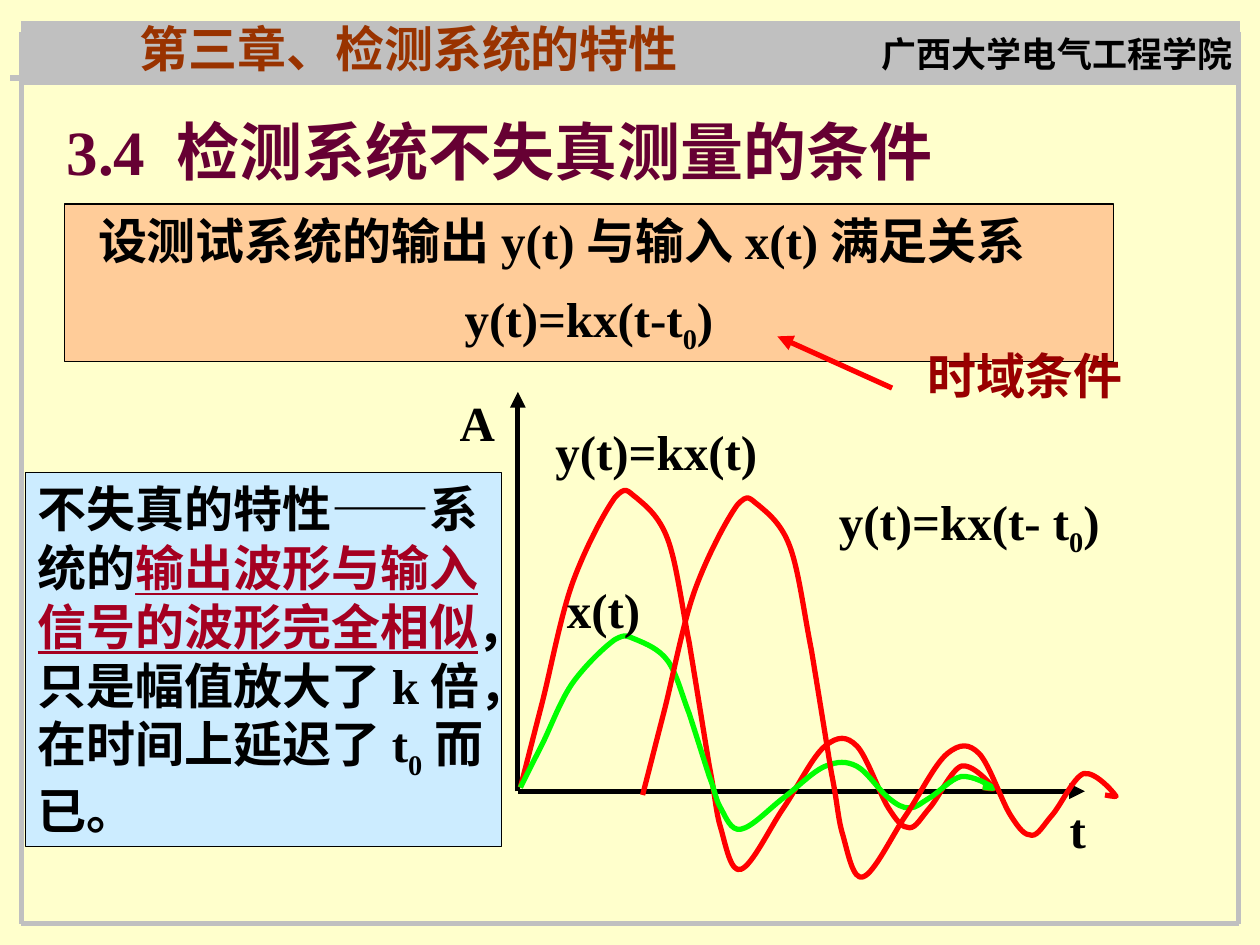
from lxml import etree
from pptx import Presentation
from pptx.dml.color import RGBColor
from pptx.enum.shapes import MSO_CONNECTOR, MSO_SHAPE
from pptx.enum.text import MSO_ANCHOR, MSO_AUTO_SIZE, PP_ALIGN
from pptx.oxml.ns import qn
from pptx.util import Inches, Pt

STRAIGHT = MSO_CONNECTOR.STRAIGHT
RECTANGLE = MSO_SHAPE.RECTANGLE
TOP = MSO_ANCHOR.TOP
FIT_SHAPE = MSO_AUTO_SIZE.SHAPE_TO_FIT_TEXT
LEFT, CENTER = PP_ALIGN.LEFT, PP_ALIGN.CENTER

CREAM = RGBColor(0xFF, 0xFF, 0xCC)
GRAY = RGBColor(0xC0, 0xC0, 0xC0)
BLACK = RGBColor(0, 0, 0)
PLUM = RGBColor(0x66, 0x00, 0x33)
BROWN = RGBColor(0x99, 0x33, 0x00)
DARK_RED = RGBColor(0x99, 0x00, 0x00)
CRIMSON = RGBColor(0xA5, 0x00, 0x21)
RED = RGBColor(0xFF, 0, 0)
GREEN = RGBColor(0, 0xFF, 0)
PEACH = RGBColor(0xFF, 0xCC, 0x99)
PALE_BLUE = RGBColor(0xCC, 0xEC, 0xFF)

FONT = "Times New Roman"
SUBSCRIPT = {"baseline": "-25000"}
THICK, THIN = 3, 0.75
FRAME_LEFT, FRAME_RIGHT, FRAME_TOP, FRAME_BOTTOM = 0.17, 9.83, 0.25, 7.33
AXIS_X, AXIS_Y = 4.11, 6.28

FRAME_LINES = [
    ((0.08, 0.62), (9.75, 0.62)),
    ((FRAME_LEFT, FRAME_TOP), (FRAME_LEFT, FRAME_BOTTOM)),
    ((FRAME_RIGHT, FRAME_TOP), (FRAME_RIGHT, FRAME_BOTTOM)),
    ((FRAME_LEFT, FRAME_BOTTOM), (FRAME_RIGHT, FRAME_BOTTOM)),
]
ARROWS = [
    ((7.08, 3.08), (6.17, 2.67), RED),
    ((AXIS_X, AXIS_Y), (AXIS_X, 3.11), BLACK),
    ((AXIS_X, AXIS_Y), (8.61, AXIS_Y), BLACK),
]

HEADINGS = [
    ((6.78, 0.21, 3.22, 0.44), "广西大学电气工程学院", 20, BLACK, CENTER, True),
    ((0.43, 0.84, 8.19, 0.7), "3.4 检测系统不失真测量的条件", 36, PLUM, LEFT, True),
    ((1.01, 0.1, 4.47, 0.57), "第三章、检测系统的特性", 28, BROWN, LEFT, False),
]
LABELS = [
    ((7.26, 2.69, 1.75, 0.57), [("时域条件", DARK_RED, {})]),
    ((4.31, 3.3, 1.8, 0.57), [("y(t)=kx(t)", BLACK, {})]),
    ((8.39, 6.3, 0.33, 0.57), [("t", BLACK, {})]),
    ((3.55, 3.07, 0.48, 0.57), [("A", BLACK, {})]),
    ((4.4, 4.55, 0.78, 0.57), [("x(t)", BLACK, {})]),
    ((6.56, 3.85, 2.27, 0.63),
     [("y(t)=kx(t- t", BLACK, {}), ("0", BLACK, SUBSCRIPT), (")", BLACK, {})]),
]
RELATION = [
    [("设测试系统的输出y(t)与输入x(t)满足关系", BLACK, {})],
    [("y(t)=kx(t-t", BLACK, {}), ("0", BLACK, SUBSCRIPT), (")", BLACK, {})],
]
PROPERTY = [
    ("不失真的特性——系统的", BLACK, {}),
    ("输出波形与输入信号的波形完全相似", CRIMSON, {"u": "sng"}),
    ("，只是幅值放大了k倍，在时间上延迟了t", BLACK, {}),
    ("0", BLACK, SUBSCRIPT),
    ("而已。", BLACK, {}),
]

WAVE_BASE = 6.25
WAVE = [
    (4.13, 6.25),
    (4.18, 6.06), (4.23, 5.86), (4.3, 5.59), (4.37, 5.32), (4.45, 4.88), (4.55, 4.61),
    (4.65, 4.34), (4.8, 4.06), (4.88, 3.95), (4.97, 3.85), (4.98, 3.9), (5.05, 3.95),
    (5.12, 4.01), (5.23, 4.09), (5.3, 4.28), (5.37, 4.47), (5.41, 4.8), (5.47, 5.1),
    (5.52, 5.4), (5.59, 5.84), (5.63, 6.08), (5.68, 6.33), (5.68, 6.44), (5.72, 6.57),
    (5.76, 6.71), (5.8, 6.93), (5.88, 6.9), (5.97, 6.87), (6.11, 6.57), (6.22, 6.41),
    (6.33, 6.25), (6.45, 6), (6.55, 5.92), (6.65, 5.84), (6.72, 5.84), (6.8, 5.92),
    (6.88, 6), (6.98, 6.3), (7.05, 6.41), (7.12, 6.52), (7.16, 6.57), (7.22, 6.57),
    (7.27, 6.57), (7.31, 6.49), (7.38, 6.41), (7.45, 6.33), (7.55, 6.11), (7.63, 6.08),
    (7.72, 6.06), (7.86, 6.22), (7.88, 6.25), (7.91, 6.27), (7.86, 6.26), (7.8, 6.25),
]
CURVES = [(1, 0, 0, RED), (0.51, 0, 0, GREEN), (1, 0.97, 0.06, RED)]


def set_line(shape, color, width):
    shape.line.color.rgb = color
    shape.line.width = Pt(width)


def add_line(start, end, color, arrow=False):
    points = [Inches(value) for value in (*start, *end)]
    line = slide.shapes.add_connector(STRAIGHT, *points)
    set_line(line, color, THICK)
    if arrow:
        outline = line.line._get_or_add_ln()
        etree.SubElement(outline, qn("a:tailEnd"), type="triangle")
    etree.SubElement(line._element.spPr, qn("a:effectLst"))


def add_box(place, fill, outline):
    box = slide.shapes.add_shape(RECTANGLE, *map(Inches, place))
    box.shadow.inherit = False
    box.fill.solid()
    box.fill.fore_color.rgb = fill
    set_line(box, outline, THIN)
    return box


def write(shape, paragraphs, size=28, alignments=(LEFT,), wrap=True):
    frame = shape.text_frame
    settings = {"word_wrap": wrap, "auto_size": FIT_SHAPE, "vertical_anchor": TOP}
    for name, value in settings.items():
        setattr(frame, name, value)
    for index, (runs, alignment) in enumerate(zip(paragraphs, alignments)):
        paragraph = frame.add_paragraph() if index else frame.paragraphs[0]
        paragraph.alignment = alignment
        for text, color, extra in runs:
            run = paragraph.add_run()
            run.text = text
            for name, value in {"name": FONT, "size": Pt(size), "bold": True}.items():
                setattr(run.font, name, value)
            run.font.color.rgb = color
            for name, value in extra.items():
                run._r.get_or_add_rPr().set(name, value)
    return frame.paragraphs


def add_text(place, runs, size=28, alignment=LEFT, wrap=False):
    write(slide.shapes.add_textbox(*map(Inches, place)), [runs], size, (alignment,), wrap)


def add_curve(gain, delay, drop, color):
    points = [
        (Inches(x + delay), Inches(WAVE_BASE + (y - WAVE_BASE) * gain + drop))
        for x, y in WAVE
    ]
    builder = slide.shapes.build_freeform(*points[0])
    builder.add_line_segments(points[1:], close=False)
    curve = builder.convert_to_shape()
    curve.shadow.inherit = False
    curve.fill.background()
    set_line(curve, color, THICK)
    segments = list(curve._element.iter(qn("a:lnTo")))
    outline = segments[0].getparent()
    for start in range(0, len(segments), 3):
        bezier = etree.SubElement(outline, qn("a:cubicBezTo"))
        for segment in segments[start:start + 3]:
            bezier.append(segment[0])
            outline.remove(segment)


presentation = Presentation()
presentation.slide_width, presentation.slide_height = Inches(10), Inches(7.5)
slide = presentation.slides.add_slide(presentation.slide_layouts[6])
slide.background.fill.solid()
slide.background.fill.fore_color.rgb = CREAM

add_line(*FRAME_LINES[0], GRAY)
add_box((FRAME_LEFT, 0.17, 9.67, 0.5), GRAY, GRAY)
for start, end in FRAME_LINES[1:]:
    add_line(start, end, GRAY)
for place, text, size, color, alignment, wrap in HEADINGS:
    add_text(place, [(text, color, {})], size, alignment, wrap)

relation_box = add_box((0.51, 1.62, 8.33, 1.25), PEACH, BLACK)
opening, equation = write(relation_box, RELATION, alignments=(LEFT, CENTER))
opening._p.get_or_add_pPr().set("indent", str(Inches(0.17)))
equation.space_before = Pt(11)

for start, end, color in ARROWS:
    add_line(start, end, color, arrow=True)
for curve in CURVES:
    add_curve(*curve)
for place, runs in LABELS:
    add_text(place, runs)
write(add_box((0.2, 3.75, 3.78, 2.97), PALE_BLUE, BLACK), [PROPERTY])

presentation.save("out.pptx")
